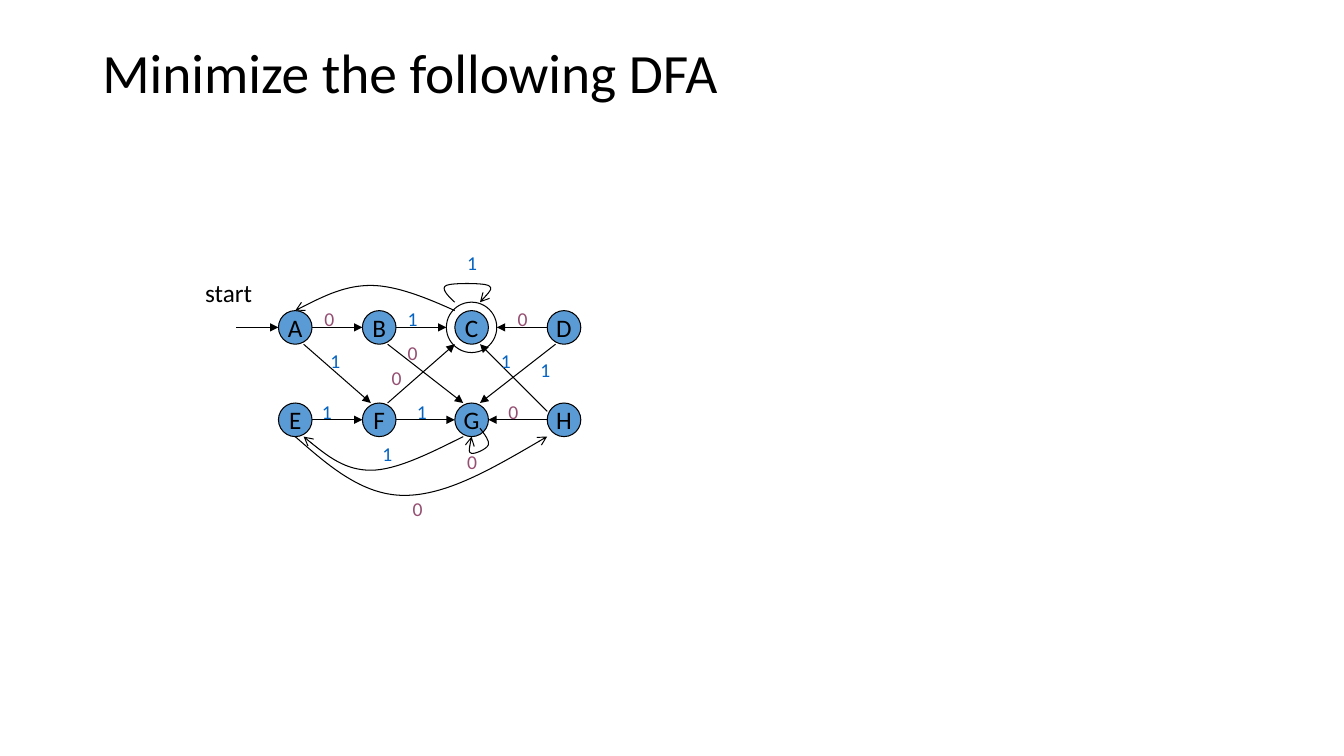
"""Build a slide that shows a DFA with eight states to be minimized."""
from dataclasses import dataclass

from lxml.etree import SubElement
from pptx import Presentation
from pptx.dml.color import RGBColor
from pptx.enum.shapes import MSO_CONNECTOR, MSO_SHAPE
from pptx.enum.text import MSO_ANCHOR, PP_ALIGN
from pptx.oxml.ns import qn
from pptx.util import Cm, Pt


@dataclass(frozen=True)
class Theme:
    font: str = "Calibri"
    black: RGBColor = RGBColor(0x00, 0x00, 0x00)
    state: RGBColor = RGBColor(0x5B, 0x9B, 0xD5)
    zero: RGBColor = RGBColor(0x95, 0x4F, 0x72)
    one: RGBColor = RGBColor(0x05, 0x63, 0xC1)
    title_size: Pt = Pt(39.6)
    state_size: Pt = Pt(18)
    label_size: Pt = Pt(14)
    line_width: Pt = Pt(0.75)


theme = Theme()
UNIT = 2.54 / 12
RADIUS = 2


def grid(x, y):
    """Turn grid steps counted from the centre of state A into a slide position."""
    return Cm(7.44 + x * UNIT), Cm(8.25 + y * UNIT)


def write(sp, text, size, color):
    """Put one formatted paragraph into a shape and return the paragraph."""
    sp.text_frame.text = text
    p = sp.text_frame.paragraphs[0]
    font = p.runs[0].font
    font.name, font.size, font.color.rgb = theme.font, size, color
    return p


prs = Presentation()
prs.slide_width, prs.slide_height = Cm(33.87), Cm(19.05)
s = prs.slides.add_slide(prs.slide_layouts[6])

title = s.shapes.add_textbox(Cm(2.33), Cm(1.01), Cm(29.21), Cm(1.81))
title.text_frame.word_wrap = True
title.text_frame.vertical_anchor = MSO_ANCHOR.MIDDLE
write(title, "Minimize the following DFA", theme.title_size, theme.black).line_spacing = 0.9

columns = (0, 10, 21, 32)
rows = (0, 11)
circles = [
    (name, x, y, RADIUS)
    for y, names in zip(rows, ("ABCD", "EFGH"))
    for x, name in zip(columns, names)
]
circles.append(("", columns[2], rows[0], 3))
for name, x, y, radius in circles:
    side = Cm(2 * radius * UNIT)
    sp = s.shapes.add_shape(MSO_SHAPE.OVAL, *grid(x - radius, y - radius), side, side)
    sp.shadow.inherit = False
    sp.line.color.rgb, sp.line.width = theme.black, theme.line_width
    if not name:
        sp.fill.background()
        continue
    sp.fill.solid()
    sp.fill.fore_color.rgb = theme.state
    sp.text_frame.word_wrap = False
    sp.text_frame.vertical_anchor = MSO_ANCHOR.MIDDLE
    write(sp, name, theme.state_size, theme.black).alignment = PP_ALIGN.CENTER

straight_arrows = [
    ((-7, 0), (-2, 0)),
    ((2, 0), (8, 0)),
    ((12, 0), (18, 0)),
    ((30, 0), (24, 0)),
    ((2, 11), (8, 11)),
    ((12, 11), (19, 11)),
    ((30, 11), (23, 11)),
    ((1, 2), (9, 9)),
    ((11, 9), (19, 2)),
    ((11, 2), (20, 9)),
    ((31, 2), (22, 9)),
    ((30, 10), (22, 2)),
]
arrows = []
for start, end in straight_arrows:
    line = s.shapes.add_connector(MSO_CONNECTOR.STRAIGHT, *grid(*start), *grid(*end))
    SubElement(line._element.spPr, qn("a:effectLst"))
    arrows.append((line, "triangle"))

curves = [
    [(20, 13), (16, 15), (12, 17), (9, 17), (6, 17), (3.4, 15), (1, 13)],
    [(0, 13), (4, 16.5), (8, 20), (13, 20), (18, 20), (24, 16.5), (30, 13)],
    [(22, 12), (22.6, 12.8), (23.2, 13.6), (23, 14), (22.8, 14.5),
     (21.4, 15.1), (21, 15), (20.6, 14.9), (20.8, 13.9), (21, 13)],
    [(19, -3), (18.1, -3.8), (17.3, -4.7), (18, -5), (18.6, -5.3),
     (22.3, -5.3), (23, -5), (23.6, -4.7), (22.8, -3.8), (22, -3)],
    [(19, -2), (15.7, -3.5), (12, -5), (9, -5), (6, -5), (2.9, -3.5), (0, -2)],
]
for curve in curves:
    points = [grid(*point) for point in curve]
    builder = s.shapes.build_freeform(*points[0])
    builder.add_line_segments(points[1:], close=False)
    sp = builder.convert_to_shape()
    sp.fill.background()
    sp.shadow.inherit = False
    outline = next(sp._element.iter(qn("a:path")))
    segments = outline.findall(qn("a:lnTo"))
    for i in range(0, len(segments), 3):
        bezier = SubElement(outline, qn("a:cubicBezTo"))
        for segment in segments[i:i + 3]:
            bezier.append(segment[0])
            outline.remove(segment)
    arrows.append((sp, "arrow"))

for arrow, head in arrows:
    arrow.line.color.rgb, arrow.line.width = theme.black, theme.line_width
    SubElement(arrow.line._get_or_add_ln(), qn("a:tailEnd"), type=head)

labels = {
    "0": [(2.3, -3), (24.2, 8), (19.3, 14), (25.3, -3), (12.2, 1), (10.3, 4), (12.8, 19.6)],
    "1": [(3, 2), (2, 8), (9.2, 13), (13.3, 8), (28, 3), (23.3, 2), (12.2, -3), (19.3, -9.7)],
}
for (symbol, places), color in zip(labels.items(), (theme.zero, theme.one)):
    for place in places:
        sp = s.shapes.add_textbox(*grid(*place), Cm(0.79), Cm(0.84))
        sp.text_frame.word_wrap = False
        write(sp, symbol, theme.label_size, color)

sp = s.shapes.add_textbox(*grid(-11.9, -6.6), Cm(1.88), Cm(1.02))
sp.text_frame.word_wrap = True
write(sp, "start", theme.state_size, theme.black)

prs.save("out.pptx")
